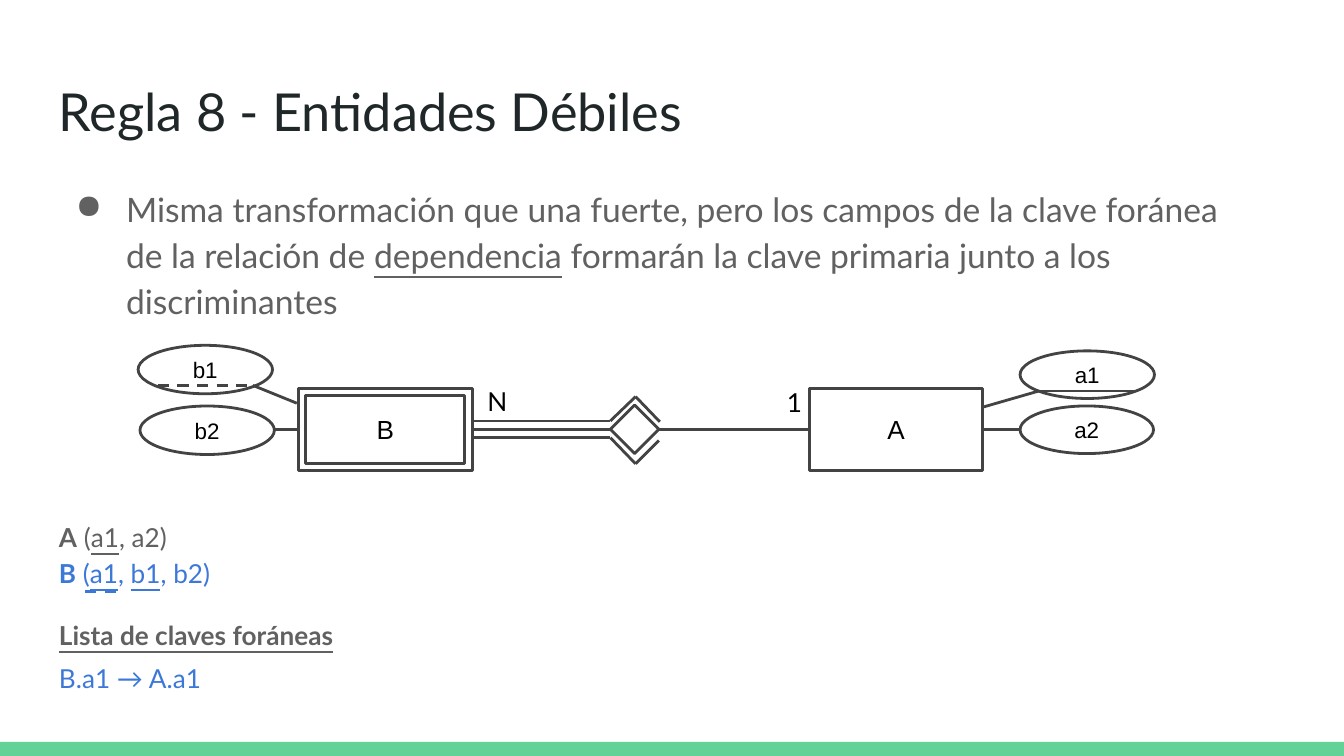
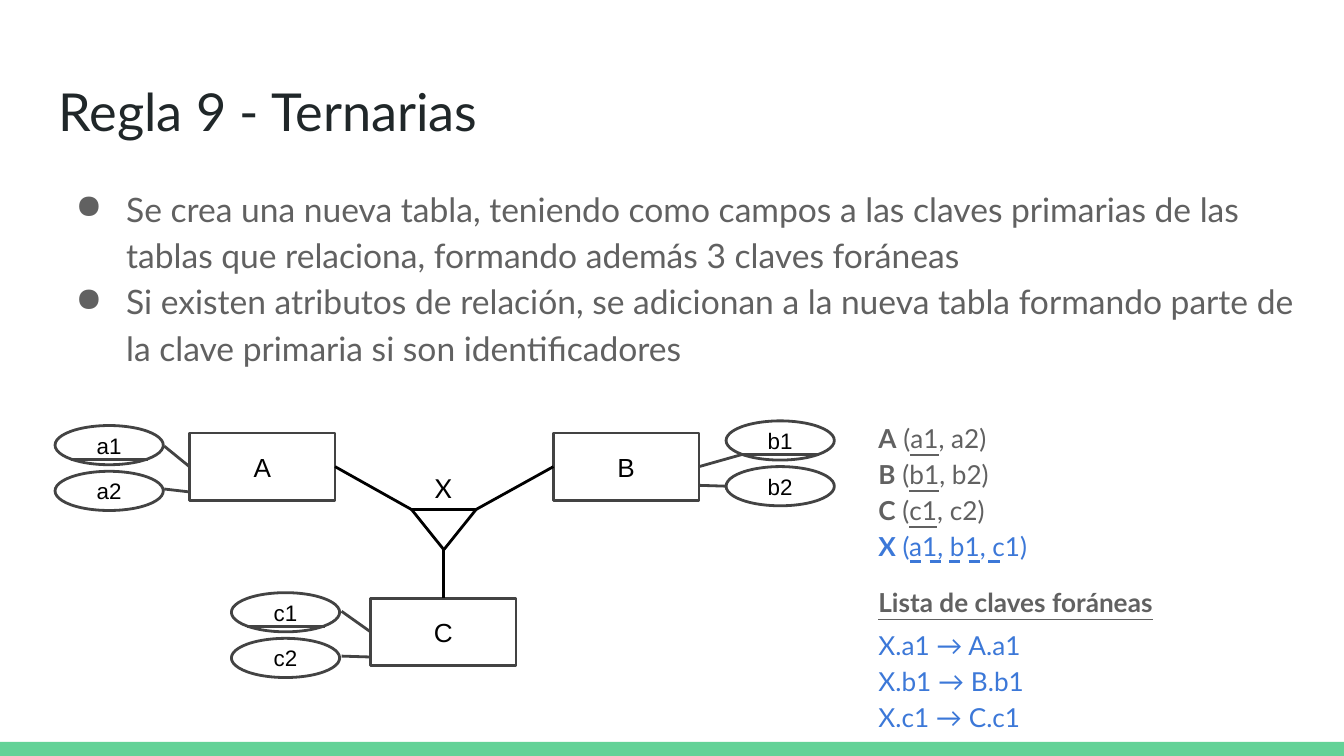
from lxml.etree import SubElement
from pptx import Presentation
from pptx.dml.color import RGBColor
from pptx.enum.dml import MSO_LINE
from pptx.enum.shapes import MSO_CONNECTOR, MSO_SHAPE
from pptx.enum.text import MSO_ANCHOR, PP_ALIGN
from pptx.oxml.ns import qn
from pptx.util import Pt

GREEN = RGBColor(0x63, 0xD2, 0x97)
DARK = RGBColor(0x20, 0x27, 0x29)
GREY = RGBColor(0x61, 0x61, 0x61)
BLUE = RGBColor(0x3C, 0x78, 0xD8)
OUTLINE = RGBColor(0x43, 0x43, 0x43)
BLACK = RGBColor(0, 0, 0)

RECT, OVAL = MSO_SHAPE.RECTANGLE, MSO_SHAPE.OVAL
INSET = Pt(7.2)
TOP, LEFT, BOTTOM, RIGHT = range(4)


def add_text(slide, box, lines, size, spacing=1, bullet=False, align=PP_ALIGN.LEFT):
    """Each line is (colour, runs); each run is (text, flags), b = bold, u = underlined."""
    text_frame = slide.shapes.add_textbox(*map(Pt, box)).text_frame
    text_frame.word_wrap = True
    text_frame.margin_left = text_frame.margin_right = INSET
    text_frame.margin_top = text_frame.margin_bottom = INSET
    for index, (color, runs) in enumerate(lines):
        paragraph = text_frame.add_paragraph() if index else text_frame.paragraphs[0]
        paragraph.alignment = align
        paragraph.line_spacing = spacing
        for text, flags in runs:
            run = paragraph.add_run()
            run.text = text
            run.font.name = "Lato"
            run.font.size = Pt(size)
            run.font.color.rgb = color
            run.font.bold = "b" in flags
            run.font.underline = "u" in flags
        if bullet:
            properties = paragraph._p.get_or_add_pPr()
            properties.set("marL", str(Pt(36)))
            properties.set("indent", str(Pt(-27)))
            bullet_color = SubElement(properties, qn("a:buClr"))
            SubElement(bullet_color, qn("a:srgbClr"), val=str(color))
            SubElement(properties, qn("a:buChar"), char="●")


def add_line(slide, x1, y1, x2, y2, color=OUTLINE, dashed=False):
    connector = slide.shapes.add_connector(MSO_CONNECTOR.STRAIGHT, Pt(x1), Pt(y1), Pt(x2), Pt(y2))
    connector.line.color.rgb = color
    connector.line.width = Pt(1.5)
    if dashed:
        connector.line.dash_style = MSO_LINE.DASH
    SubElement(connector._element.spPr, qn("a:effectLst"))
    return connector


presentation = Presentation()
presentation.slide_width = Pt(720)
presentation.slide_height = Pt(405)

# Title, rules, resulting tables and foreign keys of each slide
contents = [
    {
        "title": "Regla 8 - Entidades Débiles",
        "rules_width": 643,
        "rules": [
            [("Misma transformación que una fuerte, pero los campos de la clave foránea "
              "de la relación de ", ""), ("dependencia", "u"),
             (" formarán la clave primaria junto a los discriminantes", "")],
        ],
        "tables_box": (24.5, 269.5, 671),
        "tables": [
            (GREY, [("A", "b"), (" (", ""), ("a1", "u"), (", a2)", "")]),
            (BLUE, [("B", "b"), (" (", ""), ("a1", "u"), (", ", ""), ("b1", "u"), (", b2)", "")]),
        ],
        "foreign_top": 322,
        "foreign_keys": ["B.a1 → A.a1"],
        "foreign_mark": (45.5, 317, 66, 317),
    },
    {
        "title": "Regla 9 - Ternarias",
        "rules_width": 677,
        "rules": [
            [("Se crea una nueva tabla, teniendo como campos a las claves primarias de las "
              "tablas que relaciona, formando además 3 claves foráneas", "")],
            [("Si existen atributos de relación, se adicionan a la nueva tabla formando parte "
              "de la clave primaria si son identificadores", "")],
        ],
        "tables_box": (463.5, 216.5, 217),
        "tables": [
            *[(GREY, [(name, "b"), (" (", ""), (name.lower() + "1", "u"),
                      (f", {name.lower()}2)", "")]) for name in "ABC"],
            (BLUE, [("X", "b"), (" (a1, b1, c1)", "")]),
        ],
        "foreign_top": 304.5,
        "foreign_keys": ["X.a1 → A.a1", "X.b1 → B.b1", "X.c1 → C.c1"],
        "foreign_mark": (487.5, 301, 537, 301),
    },
]

for content in contents:
    slide = presentation.slides.add_slide(presentation.slide_layouts[6])
    band = slide.shapes.add_shape(RECT, 0, Pt(397.5), Pt(720), Pt(7.5))
    band.shadow.inherit = False
    band.fill.solid()
    band.fill.fore_color.rgb = GREEN
    band.line.fill.background()

    add_text(slide, (24.5, 35.5, 671, 45), [(DARK, [(content["title"], "")])], 28)
    rules = [(GREY, runs) for runs in content["rules"]]
    add_text(slide, (24.5, 90.5, content["rules_width"], 39.5), rules, 18, 1.15, bullet=True)

    left, top, width = content["tables_box"]
    add_text(slide, (left, top, width, 39.5), content["tables"], 14, 1.15)
    top = content["foreign_top"]
    heading = [(GREY, [("Lista de claves foráneas", "bu")])]
    add_text(slide, (left, top, width, 39.5), heading, 14, 1.15)
    foreign_keys = [(BLUE, [(key, "")]) for key in content["foreign_keys"]]
    add_text(slide, (left, top + 23, width, 39.5), foreign_keys, 14, 1.15)
    add_line(slide, *content["foreign_mark"], BLUE, dashed=True)

weak, ternary = presentation.slides

# Entities, attributes and relations: slide, name, preset, box, label
nodes = [
    (weak, "weak B", RECT, (160, 208, 93, 44), "B"),
    (weak, "weak B inner", RECT, (163.5, 212, 85.5, 36.5), ""),
    (weak, "weak A", RECT, (433.5, 208, 93, 44), "A"),
    (weak, "dependency", MSO_SHAPE.FLOWCHART_DECISION, (327, 217, 26, 26), ""),
    (weak, "weak b1", OVAL, (74, 185, 72, 26), "b1"),
    (weak, "weak b2", OVAL, (75, 217.5, 72, 26), "b2"),
    (weak, "weak a1", OVAL, (546.5, 188, 72, 25.5), "a1"),
    (weak, "weak a2", OVAL, (546.5, 217.5, 71.5, 25.5), "a2"),
    (ternary, "A", RECT, (101.5, 232, 78, 36), "A"),
    (ternary, "B", RECT, (296.5, 232, 78, 36), "B"),
    (ternary, "C", RECT, (198.5, 320.5, 78, 36), "C"),
    (ternary, "X", MSO_SHAPE.ISOSCELES_TRIANGLE, (220.5, 273, 34.5, 21.5), ""),
]
for letter, left, top in [("a", 29.5, 228), ("b", 389, 225.5), ("c", 124, 317.5)]:
    for number in (1, 2):
        box = (left, top + 24.5 * (number - 1), 58, 21)
        nodes.append((ternary, f"{letter}{number}", OVAL, box, f"{letter}{number}"))
    add_line(ternary, left + 8.5, top + 18, left + 50, top + 18)

shapes = {}
for slide, name, preset, box, label in nodes:
    shape = slide.shapes.add_shape(preset, *map(Pt, box))
    shape.shadow.inherit = False
    shape.fill.background()
    shape.line.color.rgb = BLACK if name == "X" else OUTLINE
    shape.line.width = Pt(1.5)
    if label:
        text_frame = shape.text_frame
        text_frame.text = label
        text_frame.vertical_anchor = MSO_ANCHOR.MIDDLE
        text_frame.margin_top = text_frame.margin_bottom = INSET
        paragraph = text_frame.paragraphs[0]
        paragraph.alignment = PP_ALIGN.CENTER
        font = paragraph.runs[0].font
        font.name = "Arial"
        font.size = Pt(12 if preset == OVAL else 14)
        font.color.rgb = BLACK
    shapes[name] = shape
shapes["X"].rotation = 180

# Weak entity: joins between entities, relation and attributes
link = add_line(weak, 253, 230, 327, 230)
link.begin_connect(shapes["weak B"], RIGHT)
link.end_connect(shapes["dependency"], LEFT)
link = add_line(weak, 353, 230, 433.5, 230)
link.begin_connect(shapes["dependency"], RIGHT)
link.end_connect(shapes["weak A"], LEFT)
add_line(weak, 147, 230, 160, 230).end_connect(shapes["weak B"], LEFT)
add_line(weak, 526.5, 230, 546.5, 230).begin_connect(shapes["weak A"], RIGHT)

add_line(weak, 84.5, 206.5, 135.5, 206.5, dashed=True)
for ends in [
    (135.5, 206.5, 159, 216),      # b1 to B
    (556.5, 209.5, 607.5, 209.5),  # key mark of a1
    (527, 218, 556.5, 209.5),      # A to a1
    (253.5, 225.5, 327, 225.5),    # double lines of the dependency
    (253.5, 234.5, 327, 234.5),
    (327, 225.5, 340.5, 212.5),    # outer diamond
    (340.5, 212.5, 353.5, 226),
    (327, 234.5, 340.5, 248.5),
    (340.5, 248.5, 353, 236),
]:
    add_line(weak, *ends)

for label, left, top in [("N", 254, 199.5), ("1", 414.5, 200)]:
    add_text(weak, (left, top, 16.5, 26), [(BLACK, [(label, "")])], 14)

# Ternary relation: joins to the three entities
add_line(ternary, 179.5, 250, 220.5, 273, BLACK).begin_connect(shapes["A"], RIGHT)
add_line(ternary, 255, 273, 296.5, 250, BLACK).end_connect(shapes["B"], LEFT)
add_line(ternary, 237.5, 320.5, 237.5, 294.5, BLACK).begin_connect(shapes["C"], TOP)
add_text(ternary, (216.5, 246, 42, 18), [(BLACK, [("X", "")])], 14, align=PP_ALIGN.CENTER)

# Ternary relation: joins to the attributes
add_line(ternary, 88, 239, 101.5, 250).end_connect(shapes["A"], LEFT)
add_line(ternary, 397.5, 243.5, 374.5, 250).end_connect(shapes["B"], RIGHT)
add_line(ternary, 183, 327.5, 198.5, 338.5).end_connect(shapes["C"], LEFT)
for ends in [(88, 262, 101, 263.5), (374, 260, 389.5, 260.5), (183, 351.5, 198.5, 352)]:
    add_line(ternary, *ends)

presentation.save("out.pptx")
